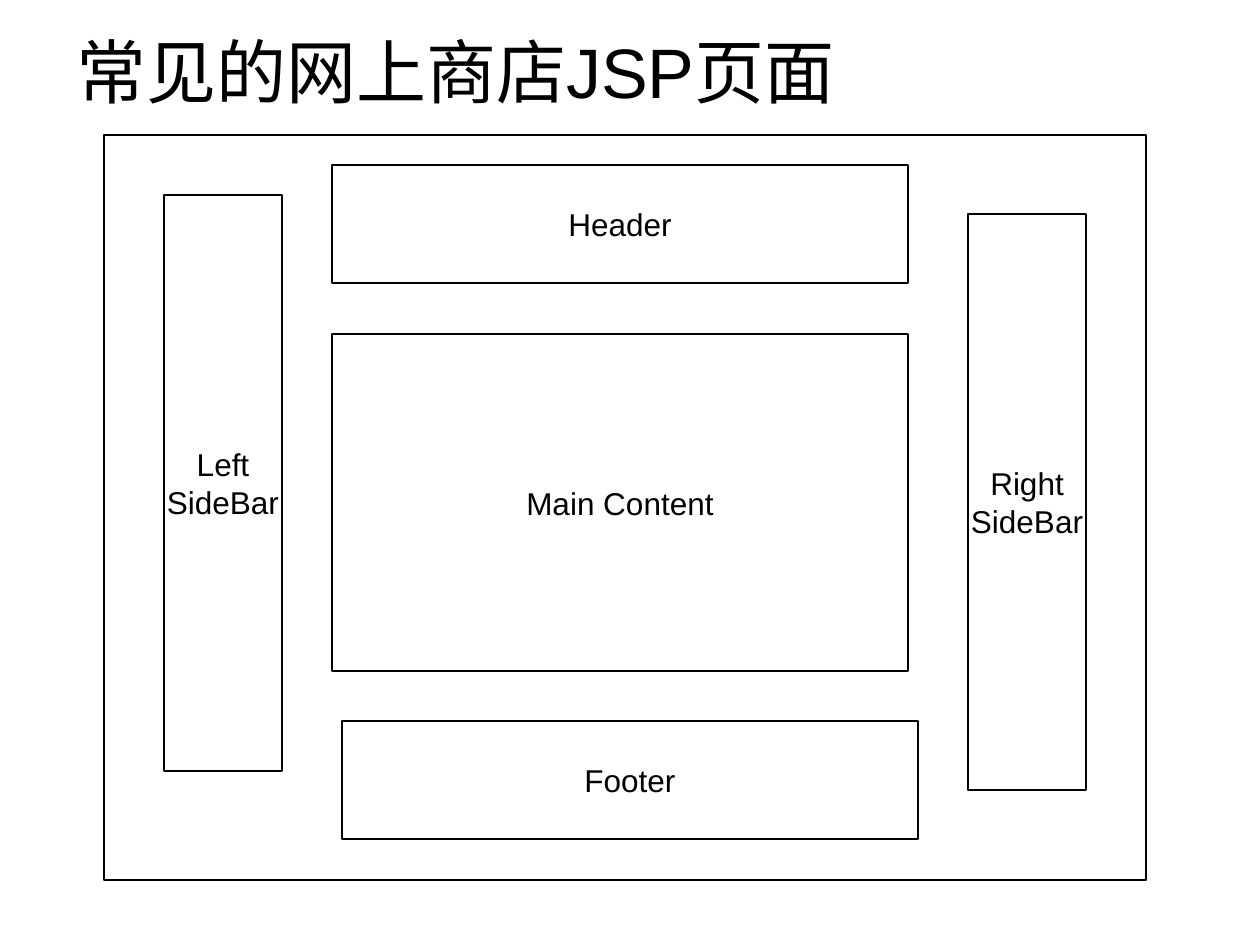
from pptx import Presentation
from pptx.dml.color import RGBColor
from pptx.enum.shapes import MSO_SHAPE
from pptx.enum.text import MSO_ANCHOR, PP_ALIGN
from pptx.util import Inches, Pt

PX = 914400 / 126
BAR_LONG, BAR_THICK = 576, 118


def px(*lengths):
    return [round(n * PX) for n in lengths]


def color(hex_string):
    return RGBColor.from_string(hex_string)


def write(tf, text, size=18, font="Arial", fill="000000",
          align=PP_ALIGN.CENTER, wrap=False):
    tf.word_wrap = wrap
    tf.vertical_anchor = MSO_ANCHOR.MIDDLE
    tf.text = text
    for p in tf.paragraphs:
        p.alignment = align
        for r in p.runs:
            r.font.size = Pt(size)
            r.font.name = font
            r.font.color.rgb = color(fill)


class PageLayout:
    line = "000000"
    line_width = 0.75

    def __init__(self, prs):
        self.s = prs.slides.add_slide(prs.slide_layouts[5])

    def title(self, text, x, y, w, h):
        sp = self.s.shapes.title
        sp.left, sp.top, sp.width, sp.height = px(x, y, w, h)
        write(sp.text_frame, text, size=40, align=PP_ALIGN.LEFT, wrap=True)

    def box(self, x, y, w, h, text=""):
        sp = self.s.shapes.add_shape(MSO_SHAPE.RECTANGLE, *px(x, y, w, h))
        sp.shadow.inherit = False
        sp.fill.background()
        sp.line.color.rgb = color(self.line)
        sp.line.width = Pt(self.line_width)
        if text:
            write(sp.text_frame, text)


def main():
    prs = Presentation()
    prs.slide_width, prs.slide_height = Inches(10), Inches(7.5)
    page = PageLayout(prs)
    page.title("常见的网上商店JSP页面", 64, 26, 1134, 90)

    # Page frame
    page.box(104, 135, 1042, 745)

    # Horizontal sections
    page.box(332, 165, BAR_LONG, BAR_THICK, "Header")
    page.box(332, 334, BAR_LONG, 337, "Main Content")
    page.box(342, 721, BAR_LONG, BAR_THICK, "Footer")

    # Sidebars
    page.box(164, 195, BAR_THICK, BAR_LONG, "Left\nSideBar")
    page.box(968, 214, BAR_THICK, BAR_LONG, "Right\nSideBar")

    prs.save("out.pptx")


if __name__ == "__main__":
    main()
